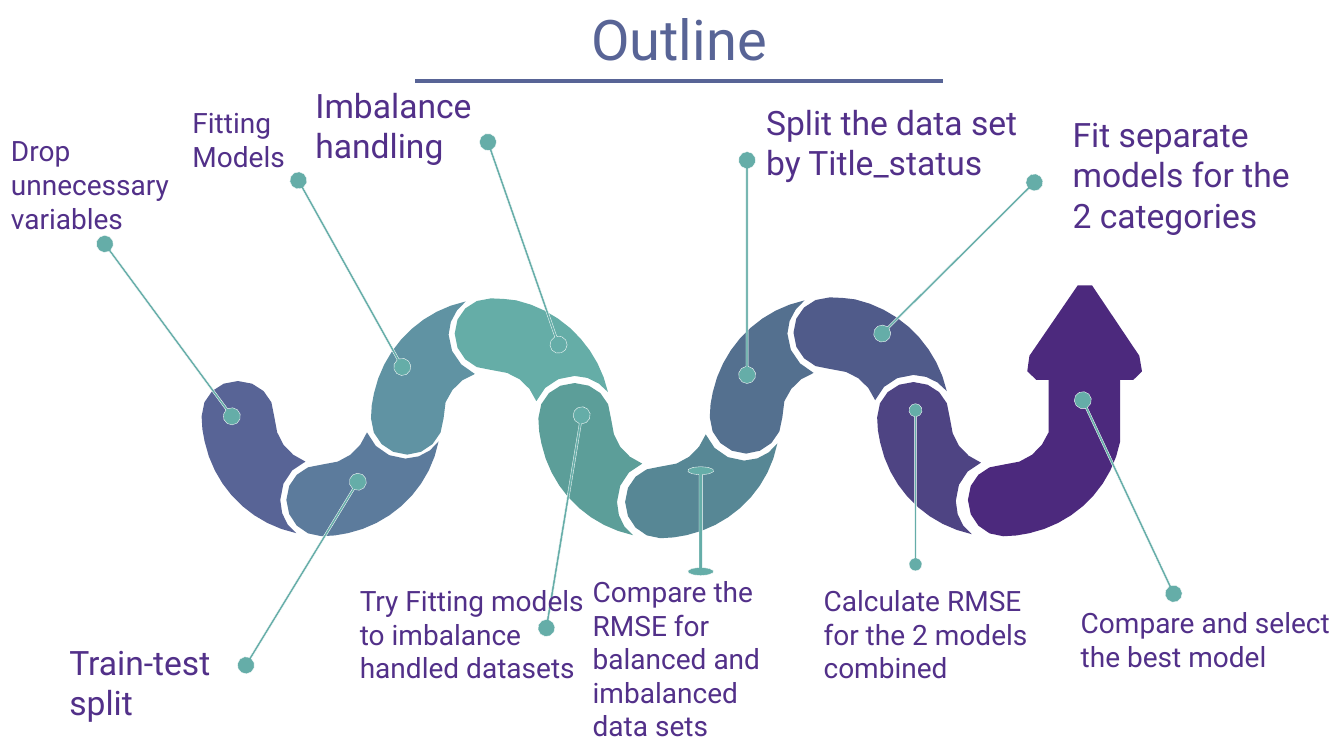
from math import asin, atan2, cos, hypot, pi, sin
from pptx import Presentation
from pptx.dml.color import RGBColor
from pptx.enum.shapes import MSO_CONNECTOR
from pptx.enum.text import MSO_AUTO_SIZE, PP_ALIGN
from pptx.oxml.ns import qn
from pptx.util import Pt
from lxml.etree import SubElement

PX = 9144
FONT = "Roboto"
SLATE = RGBColor(0x58, 0x64, 0x96)
STEEL = RGBColor(0x5C, 0x7B, 0x9C)
SKY = RGBColor(0x60, 0x93, 0xA3)
MINT = RGBColor(0x65, 0xAD, 0xA7)
SAGE = RGBColor(0x5C, 0x9E, 0x99)
TEAL = RGBColor(0x57, 0x87, 0x95)
DENIM = RGBColor(0x54, 0x70, 0x8F)
NAVY = RGBColor(0x50, 0x5B, 0x8A)
PLUM = RGBColor(0x4E, 0x44, 0x83)
GRAPE = RGBColor(0x4C, 0x29, 0x7D)
PIN = RGBColor(0x65, 0xAD, 0xA8)
INK = RGBColor(0x52, 0x30, 0x89)
WHITE = RGBColor(0xFF, 0xFF, 0xFF)

deck = Presentation()
deck.slide_width = 1333 * PX
deck.slide_height = 750 * PX
slide = deck.slides.add_slide(deck.slide_layouts[6])


def outline(points, color):
    spots = [(round(x * PX), round(y * PX)) for x, y in points]
    pen = slide.shapes.build_freeform(*spots[0], scale=1.0)
    pen.add_line_segments(spots[1:], close=True)
    shape = pen.convert_to_shape()
    shape.shadow.inherit = False
    shape.fill.solid()
    shape.fill.fore_color.rgb = color
    shape.line.fill.background()
    return shape


def add_text(words, left, top, width, height, size, color):
    box = slide.shapes.add_textbox(left * PX, top * PX, width * PX, height * PX)
    frame = box.text_frame
    frame.word_wrap = True
    frame.auto_size = MSO_AUTO_SIZE.SHAPE_TO_FIT_TEXT
    para = frame.paragraphs[0]
    para.text = words
    para.font.name = FONT
    para.font.size = Pt(size)
    para.font.color.rgb = color
    return para


FALL = [
    (200, 413), (200, 422, 201, 430, 203, 438), (213, 484, 248, 519, 294, 529),
    (284, 522, 278, 510, 278, 496), (278, 479, 288, 464, 303, 458),
    (290, 453, 279, 442, 275, 429), (273, 424, 272, 419, 272, 413),
    (272, 393, 256, 378, 236, 378), (216, 378, 200, 393, 200, 413),
]
BASE = [
    (402, 455), (385, 455, 370, 444, 364, 429), (359, 442, 349, 453, 335, 458),
    (330, 460, 325, 461, 319, 461), (300, 461, 284, 476, 284, 496),
    (284, 516, 300, 532, 319, 532), (328, 532, 336, 531, 345, 529),
    (390, 519, 426, 484, 435, 438), (428, 448, 416, 455, 402, 455),
]
RISE = [
    (445, 332), (445, 349, 456, 364, 471, 371), (458, 375, 447, 386, 442, 399),
    (440, 404, 440, 410, 440, 415), (440, 435, 423, 451, 404, 451),
    (384, 451, 368, 435, 368, 415), (368, 406, 369, 398, 371, 390),
    (381, 345, 416, 309, 462, 299), (452, 307, 445, 319, 445, 332),
]
CREST = [
    (512, 298), (557, 308, 593, 344, 603, 389), (595, 379, 583, 373, 570, 373),
    (553, 373, 538, 383, 532, 398), (527, 385, 516, 374, 503, 370),
    (498, 368, 492, 367, 487, 367), (467, 367, 451, 351, 451, 331),
    (451, 311, 467, 296, 487, 296), (496, 296, 504, 297, 512, 298),
]
ARROW = [
    (1130, 353), (1083, 283), (1079, 278, 1072, 278, 1069, 283), (1021, 353),
    (1015, 362, 1019, 377, 1028, 377), (1040, 377), (1040, 429),
    (1035, 442, 1025, 453, 1011, 458), (1006, 460, 1001, 461, 995, 461),
    (976, 461, 960, 476, 960, 496), (960, 516, 976, 532, 995, 532),
    (1004, 532, 1012, 531, 1021, 529), (1066, 519, 1102, 484, 1111, 438),
    (1111, 377), (1124, 377), (1132, 377, 1137, 362, 1130, 353),
]
pieces = [
    (BASE, 0, 0, STEEL), (BASE, 336, 2, TEAL),
    (FALL, 0, 0, SLATE), (FALL, 334, 2, SAGE),
    (RISE, 0, 0, SKY), (CREST, 0, 0, MINT),
    (FALL, 670, 1, PLUM), (RISE, 336, -1, DENIM),
    (CREST, 336, -1, NAVY), (ARROW, 0, 0, GRAPE),
]
STRIDE = 14
for route, right, down, color in pieces:
    points = [route[0]]
    for part in route[1:]:
        if len(part) == 2:
            points.append(part)
            continue
        ax, ay = points[-1]
        bx, by, cx, cy, dx, dy = part
        steps = max(1, round(hypot(dx - ax, dy - ay) / STRIDE))
        for step in range(1, steps + 1):
            t = step / steps
            s = 1 - t
            weights = s ** 3, 3 * s * s * t, 3 * s * t * t, t ** 3
            points.append((
                sum(w * x for w, x in zip(weights, (ax, bx, cx, dx))),
                sum(w * y for w, y in zip(weights, (ay, by, cy, dy))),
            ))
    outline([(x + right, y + down) for x, y in points], color)

pins = [
    (104, 242, 230, 413, 8.5, 8.5), (1074, 397, 1164, 589, 8.5, 8.5),
    (908, 407, 908, 560, 6.5, 6.5), (1026, 181, 875, 331, 8.5, 8.5),
    (741, 159, 741, 372, 8.5, 8.5), (695, 467, 695, 567, 13, 4),
    (577, 412, 542, 623, 8.5, 8.5), (484, 141, 554, 342, 8.5, 8.5),
    (296, 179, 399, 364, 8.5, 8.5), (355, 478, 244, 660, 8.5, 8.5),
]
ARCS = 10
gap = asin(1 / 8)
for x1, y1, x2, y2, wide, deep in pins:
    turn = atan2(y2 - y1, x2 - x1)
    points = []
    for start, reach in ((0, 0), (pi, hypot(x2 - x1, y2 - y1))):
        for step in range(ARCS + 1):
            angle = start + gap + (2 * pi - 2 * gap) * step / ARCS
            along = reach + deep * cos(angle)
            across = wide * sin(angle)
            points.append((
                x1 + along * cos(turn) - across * sin(turn),
                y1 + along * sin(turn) + across * cos(turn),
            ))
    shape = outline(points, PIN)
    shape.line.color.rgb = WHITE
    shape.line.width = Pt(0.25)

title = add_text("Outline", 388, 0, 571, 77, 40, SLATE)
title.alignment = PP_ALIGN.CENTER
rule = slide.shapes.add_connector(
    MSO_CONNECTOR.STRAIGHT, 412 * PX, 80 * PX, 935 * PX, 80 * PX)
rule.line.color.rgb = SLATE
rule.line.width = Pt(3)
SubElement(rule._element.spPr, qn("a:effectLst"))

labels = [
    ("Compare and select the best model", 1062, 596, 279, 77, 20),
    ("Calculate RMSE for the 2 models combined", 807, 574, 255, 111, 20),
    ("Fit separate models for the 2 categories", 1054, 108, 243, 131, 24),
    ("Split the data set by Title_status", 750, 96, 275, 91, 24),
    ("Compare the RMSE for balanced and imbalanced data sets",
     578, 565, 209, 178, 20),
    ("Try Fitting models to imbalance handled datasets",
     347, 574, 249, 111, 20),
    ("Imbalance handling", 303, 79, 208, 91, 24),
    ("Fitting Models", 181, 100, 141, 77, 20),
    ("Train-test split", 59, 632, 183, 91, 24),
    ("Drop unnecessary variables", 1, 128, 222, 111, 20),
]
for label in labels:
    add_text(*label, INK)

deck.save("out.pptx")
